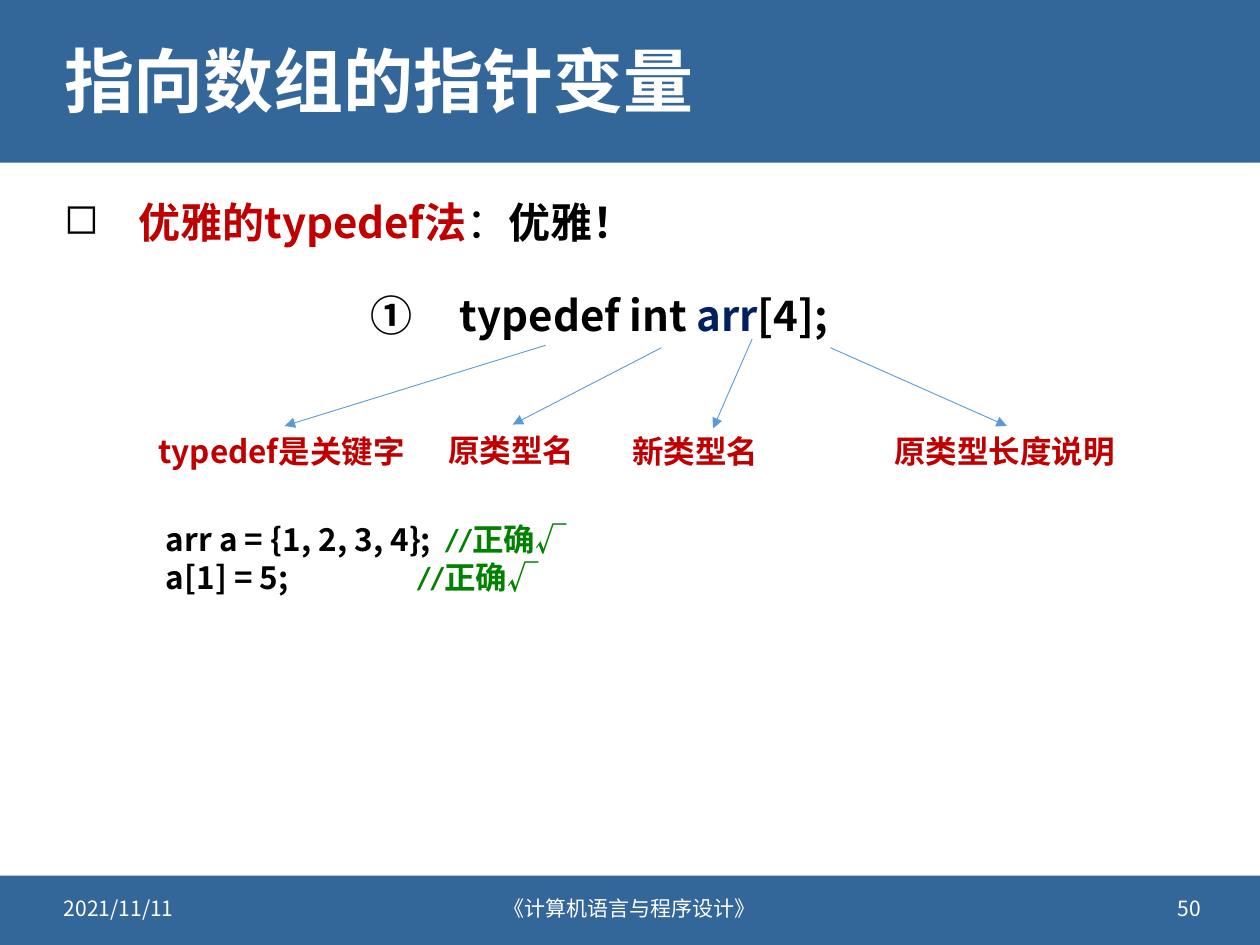
from lxml.etree import SubElement
from pptx import Presentation
from pptx.dml.color import RGBColor
from pptx.enum.shapes import MSO_CONNECTOR as CONN, MSO_SHAPE as SHAPE
from pptx.enum.text import MSO_ANCHOR as ANCHOR, PP_ALIGN as ALIGN
from pptx.oxml.ns import qn
from pptx.util import Pt

COLORS = {
    "band": "336699", "white": "FFFFFF", "black": "000000", "red": "C00000",
    "navy": "002060", "green": "008100", "arrow": "5B9BD5",
}
FONT = "Noto Sans CJK SC"
WIDTH, HEIGHT = 720, 540


def rgb(name):
    return RGBColor.from_string(COLORS[name])


def add_band(s, top, height):
    sp = s.shapes.add_shape(SHAPE.RECTANGLE, 0, Pt(top), Pt(WIDTH), Pt(height))
    sp.shadow.inherit = False
    sp.fill.solid()
    sp.fill.fore_color.rgb = rgb("band")
    sp.line.fill.background()


def add_run(p, text, size=18, color="black", bold=True, font=FONT):
    r = p.add_run()
    r.text = text
    r.font.size, r.font.bold, r.font.name = Pt(size), bold, font
    r.font.color.rgb = rgb(color)
    SubElement(r.font._element, qn("a:ea"), typeface=FONT)


def add_text(s, box, lines, align=ALIGN.LEFT, anchor=ANCHOR.TOP, **fmt):
    """Each line is a list of (text, format) runs; fmt holds shared defaults."""
    tf = s.shapes.add_textbox(*map(Pt, box)).text_frame
    tf.word_wrap = True
    tf.vertical_anchor = anchor
    for i, runs in enumerate(lines):
        p = tf.add_paragraph() if i else tf.paragraphs[0]
        p.alignment = align
        for text, own in runs:
            add_run(p, text, **{**fmt, **own})
    return tf.paragraphs


def set_tab(p, pos):
    tabs = SubElement(p._p.get_or_add_pPr(), qn("a:tabLst"))
    SubElement(tabs, qn("a:tab"), pos=str(Pt(pos)), algn="l")


def set_bullet(p, char, indent):
    pPr = p._p.get_or_add_pPr()
    pPr.set("marL", str(Pt(indent)))
    pPr.set("indent", str(-Pt(indent)))
    color = SubElement(pPr, qn("a:buClr"))
    SubElement(color, qn("a:srgbClr"), val=COLORS["black"])
    SubElement(pPr, qn("a:buChar"), char=char)


def add_arrow(s, *ends):
    c = s.shapes.add_connector(CONN.STRAIGHT, *map(Pt, ends))
    c.line.width = Pt(0.5)
    c.line.color.rgb = rgb("arrow")
    SubElement(c.line._get_or_add_ln(), qn("a:tailEnd"), type="triangle")
    SubElement(c._element.spPr, qn("a:effectLst"))


def main():
    prs = Presentation()
    prs.slide_width, prs.slide_height = Pt(WIDTH), Pt(HEIGHT)
    s = prs.slides.add_slide(prs.slide_layouts[6])

    # Header and footer bands
    add_band(s, 0, 92.9)
    add_band(s, 500.4, 39.6)

    # Title
    title, = add_text(s, (29.5, 13, 661.7, 71.3), [[("指向数组的指针变量", {})]],
                      anchor=ANCHOR.MIDDLE, size=40, color="white")
    title.line_spacing = 0.9

    # Heading bullet
    heading, = add_text(s, (29.5, 105.8, 661.7, 38.9), [[
        ("优雅的typedef法", {"color": "red"}),
        ("：", {"bold": False}),
        ("优雅！", {}),
    ]], size=24)
    heading.line_spacing = 1.1
    heading.space_before = Pt(10)
    set_bullet(heading, "◻", 42.5)

    # Footer: date, course, page number
    for left, width, text, align in (
        (29.5, 172.8, "2021/11/11", ALIGN.LEFT),
        (230.4, 259.2, "《计算机语言与程序设计》", ALIGN.CENTER),
        (520.6, 172.8, "50", ALIGN.RIGHT),
    ):
        add_text(s, (left, 504.7, width, 28.8), [[(text, {})]], align=align,
                 anchor=ANCHOR.MIDDLE, size=12, color="white", bold=False)

    # Declaration
    declaration, = add_text(s, (204.5, 162, 347, 36), [[
        ("①\ttypedef int ", {}), ("arr", {"color": "navy"}), ("[4];", {}),
    ]], size=24)
    set_tab(declaration, 51.2)

    # Example code with comments
    comment = ("//正确√", {"color": "green", "font": "Calibri"})
    code = add_text(s, (87.8, 293.8, 638.6, 51), [
        [("arr a = {1, 2, 3, 4};\t", {}), comment],
        [("a[1] = 5;\t", {}), comment],
    ])
    for p, pos in zip(code, (159.5, 143.5)):
        set_tab(p, pos)

    # Labels, each with the arrow that leads to it from the declaration
    for text, left, top, width, arrow in (
        ("typedef是关键字", 83.5, 243.4, 158.4, (311.8, 197.3, 162.7, 243.4)),
        ("原类型名", 249.1, 242.6, 87.4, (378, 198.7, 293, 242.6)),
        ("新类型名", 354.2, 243.4, 87.4, (429.8, 193.7, 407.5, 244.8)),
        ("原类型长度说明", 504, 243.4, 142, (474.5, 198.7, 575.3, 243.4)),
    ):
        add_text(s, (left, top, width, 28.8), [[(text, {})]], color="red")
        add_arrow(s, *arrow)

    prs.save("out.pptx")


if __name__ == "__main__":
    main()
